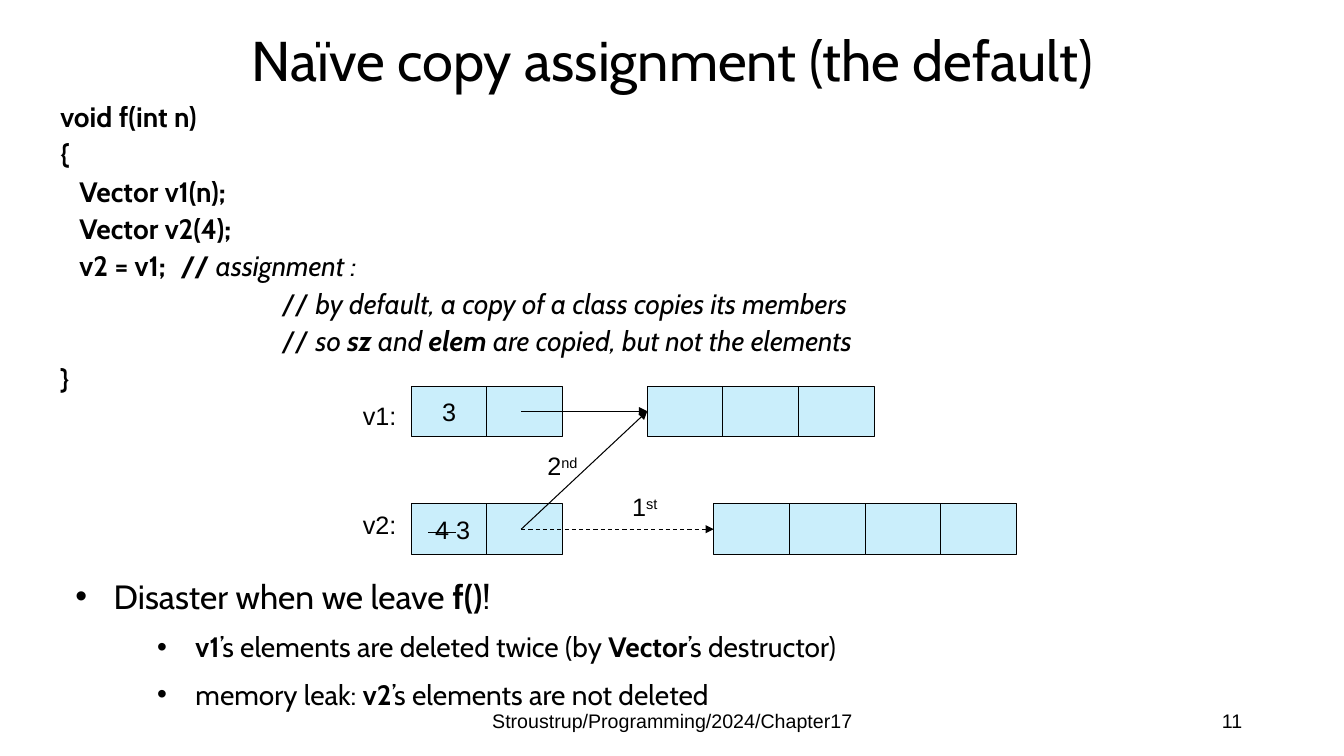
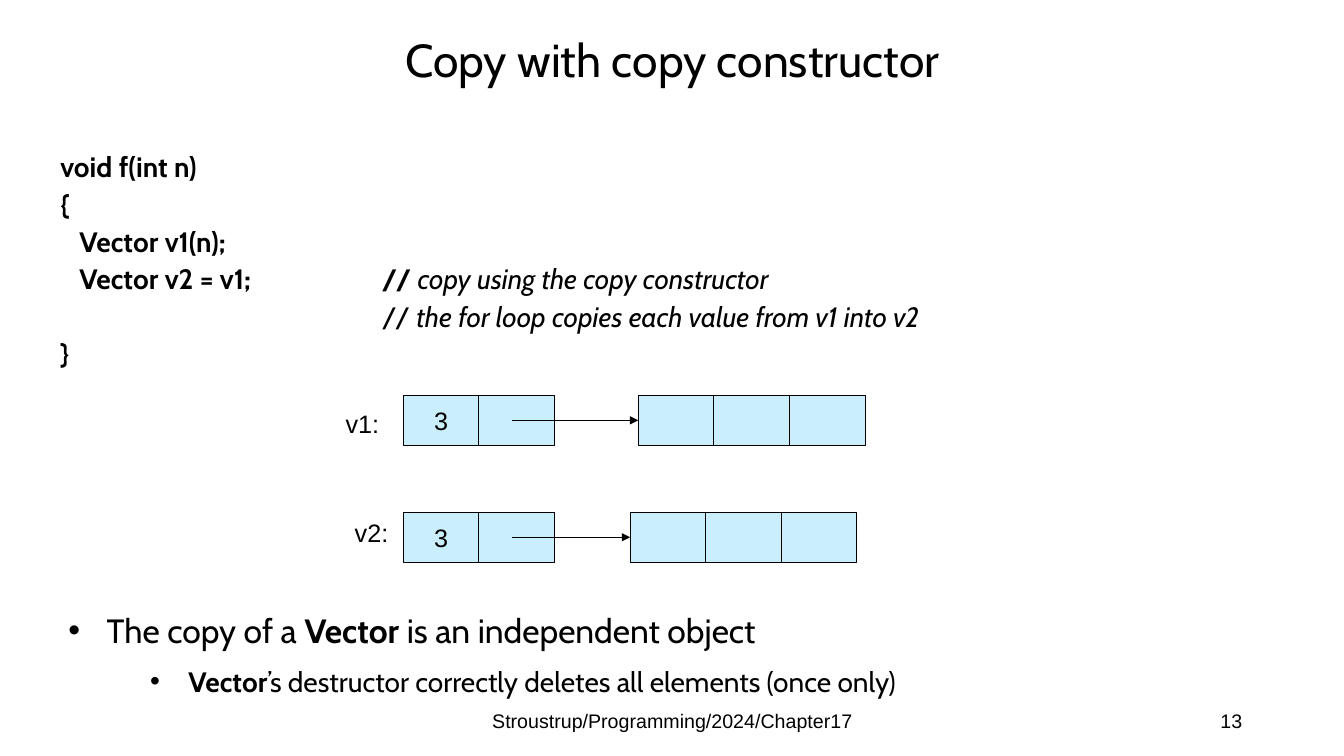
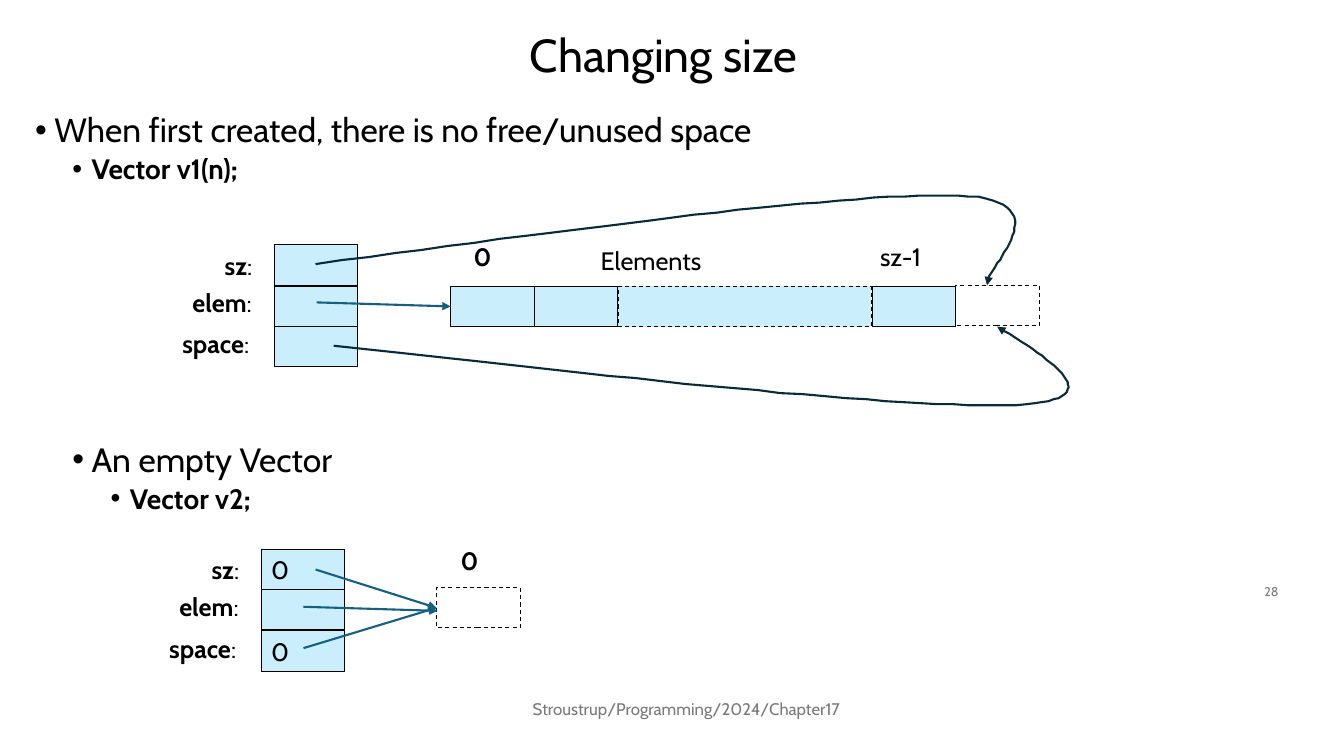
"""Build three slides on copying and resizing a Vector."""
import pptx
import pptx.util
import pptx.dml.color
import pptx.enum.dml
import pptx.enum.shapes
import pptx.enum.text
import pptx.oxml.ns
import lxml.etree

PX = 9144
BLACK, GREY, SKY, TEAL, NAVY = "000000", "797979", "CAEEFB", "156082", "092A39"
SIDE = pptx.enum.text.PP_ALIGN
MID = pptx.enum.text.MSO_ANCHOR.MIDDLE
TOP = pptx.enum.text.MSO_ANCHOR.TOP
RECT = pptx.enum.shapes.MSO_SHAPE.RECTANGLE
DASH = pptx.enum.dml.MSO_LINE.DASH
LINK = pptx.enum.shapes.MSO_CONNECTOR.STRAIGHT
tag = pptx.oxml.ns.qn


def hue(code):
    return pptx.dml.color.RGBColor.from_string(code)


def say(frame, runs, size, font="Cabin", ink=BLACK, side=SIDE.LEFT, gap=0, lead=1, left=0, hang=0, dot=False):
    """Add one paragraph; run marks are b bold, i italic, s struck, ^ raised."""
    para = frame.paragraphs[0]
    if para.runs:
        para = frame.add_paragraph()
    para.alignment, para.line_spacing = side, lead
    para.space_before = pptx.util.Pt(gap)
    props = para._p.get_or_add_pPr()
    props.set("marL", str(left * PX))
    props.set("indent", str(-hang * PX))
    props.set("defTabSz", str(100 * PX))
    if dot:
        lxml.etree.SubElement(props, tag("a:buFont")).set("typeface", "Arial")
        lxml.etree.SubElement(props, tag("a:buChar")).set("char", "•")
    for words, marks in runs:
        run = para.add_run()
        run.text = words
        face = run.font
        face.name, face.size = font, pptx.util.Pt(size)
        face.bold, face.italic = "b" in marks, "i" in marks
        face.color.rgb = hue(ink)
        if "s" in marks:
            run._r.get_or_add_rPr().set("strike", "sngStrike")
        if "^" in marks:
            run._r.get_or_add_rPr().set("baseline", "30000")


deck = pptx.Presentation()
deck.slide_width, deck.slide_height = 1333 * PX, 750 * PX
pages = [deck.slides.add_slide(deck.slide_layouts[6]) for _ in range(3)]

heads = [
    ("Naïve copy assignment (the default)", 40, (217, 0, 900, 125)),
    ("Copy with copy constructor", 33, (217, 0, 900, 125)),
    ("Changing size", 33, (83, 15, 1150, 85)),
]
foot = "Stroustrup/Programming/2024/Chapter17"
plain = dict(size=14, font="Arial")
faint = dict(size=12, font="Cabin", ink=GREY)
feet = [
    ("11", (942, 695, 300, 40), (442, 695, 450, 40), plain, 14),
    ("13", (942, 695, 300, 40), (442, 695, 450, 40), plain, 14),
    ("28", (978, 567, 300, 40), (456, 683, 450, 40), faint, 9),
]

code = dict(size=20, lead=0.8, gap=7.5, left=19, hang=19)
main = dict(size=24, left=38, hang=38, dot=True)
sub = dict(size=20, gap=10, left=119, hang=38, dot=True)
first = dict(size=24, lead=0.9, gap=7.5, left=19, hang=19, dot=True)
next_ = dict(size=20, lead=0.9, gap=3.8, left=56, hang=19, dot=True)
empty = dict(next_, size=24, gap=184)
last = dict(next_, left=94)

blocks = [
    (0, (50, 100, 1083, 292), [
        (code, [("void f(int n)", "b")]),
        (code, [("{", "b")]),
        (code, [("\tVector v1(n);", "b")]),
        (code, [("\tVector v2(4);", "b")]),
        (code, [("\tv2 = v1;\t// ", "b"), ("assignment :", "i")]),
        (code, [("\t\t\t// ", ""), ("by default, a copy of a class copies its members", "i")]),
        (code, [("\t\t\t// ", ""), ("so ", "i"), ("sz", "bi"), (" and ", "i"), ("elem ", "bi"),
                ("are copied, but not the elements", "i")]),
        (code, [("}", "b")]),
    ]),
    (0, (65, 566, 1067, 151), [
        (main, [("Disaster when we leave ", ""), ("f()", "b"), ("!", "")]),
        (sub, [("v1", "b"), ("’s elements are deleted twice (by ", ""), ("Vector", "b"), ("’s destructor)", "")]),
        (sub, [("memory leak: ", ""), ("v2", "b"), ("’s elements are not deleted", "")]),
    ]),
    (1, (50, 150, 1067, 208), [
        (code, [("void f(int n)", "b")]),
        (code, [("{", "b")]),
        (code, [("\tVector v1(n);", "b")]),
        (code, [("\tVector v2 = v1;\t\t// ", "b"), ("copy using the copy constructor", "i")]),
        (code, [("\t\t\t\t// ", ""), ("the for loop copies each value from v1 into v2", "i")]),
        (code, [("}", "b")]),
    ]),
    (1, (58, 600, 975, 101), [
        (main, [("The copy of a ", ""), ("Vector ", "b"), ("is an independent object", "")]),
        (sub, [("Vector", "b"), ("’s destructor correctly deletes all elements (once only)", "")]),
    ]),
    (2, (25, 108, 1217, 192), [
        (first, [("When first created, there is no free/unused space", "")]),
        (next_, [("Vector v1(n);", "b")]),
        (empty, [("An empty Vector", "")]),
        (last, [("Vector v2;", "b")]),
    ]),
]

label = dict(size=18, font="Arial")
name = dict(size=18)
for page, left, top, wide, style, runs in [
    (0, 350, 392, 67, label, [("v1:", "")]),
    (0, 350, 500, 67, label, [("v2:", "")]),
    (0, 533, 442, 108, label, [("2", ""), ("nd", "^")]),
    (0, 617, 483, 108, label, [("1", ""), ("st", "^")]),
    (1, 333, 400, 67, label, [("v1:", "")]),
    (1, 342, 508, 67, label, [("v2:", "")]),
    (2, 863, 234, 67, name, [("sz-1", "")]),
    (2, 460, 234, 67, name, [("0", "b")]),
    (2, 586, 238, 122, name, [("Elements", "")]),
    (2, 447, 536, 67, name, [("0", "b")]),
]:
    blocks.append((page, (left, top, wide, 40), [(style, runs)]))
for right, down in [(0, 0), (-13, 302)]:
    for word, left, top, wide in [("sz", 213, 243, 67), ("elem", 181, 280, 100), ("space", 171, 321, 108)]:
        blocks.append((2, (left + right, top + down, wide, 40), [(name, [(word, "b"), (":", "")])]))

three = [("3", "")]
swap = [(" 4 ", "s"), ("3", "")]
zero = [("0", "")]
mid = dict(label, side=SIDE.CENTER)
for page, left, top, wide, high, fill, dash, style, row in [
    (0, 408, 383, 75, 50, SKY, False, mid, [three, []]),
    (0, 642, 383, 75, 50, SKY, False, mid, [[]] * 3),
    (0, 408, 500, 75, 50, SKY, False, mid, [swap, []]),
    (0, 708, 500, 75, 50, SKY, False, mid, [[]] * 4),
    (1, 400, 392, 75, 50, SKY, False, mid, [three, []]),
    (1, 633, 392, 75, 50, SKY, False, mid, [[]] * 3),
    (1, 400, 508, 75, 50, SKY, False, mid, [three, []]),
    (1, 625, 508, 75, 50, SKY, False, mid, [[]] * 3),
    (2, 272, 243, 83, 40, SKY, False, name, [[]]),
    (2, 272, 284, 83, 40, SKY, False, name, [[]]),
    (2, 272, 324, 83, 40, SKY, False, name, [[]]),
    (2, 447, 284, 83, 40, SKY, False, name, [[]] * 2),
    (2, 613, 284, 251, 40, SKY, True, name, [[]]),
    (2, 865, 284, 83, 40, SKY, False, name, [[]]),
    (2, 948, 283, 83, 40, None, True, name, [[]]),
    (2, 259, 545, 83, 40, SKY, False, name, [zero]),
    (2, 259, 585, 83, 40, SKY, False, name, [[]]),
    (2, 259, 626, 83, 40, SKY, False, name, [zero]),
    (2, 433, 583, 83, 40, None, True, name, [[]]),
]:
    for step, runs in enumerate(row):
        cell = pages[page].shapes.add_shape(RECT, (left + step * wide) * PX, top * PX, wide * PX, high * PX)
        cell.shadow.inherit = False
        if fill:
            cell.fill.solid()
            cell.fill.fore_color.rgb = hue(fill)
        else:
            cell.fill.background()
        cell.line.color.rgb = hue(BLACK)
        cell.line.width = pptx.util.Pt(0.75)
        if dash:
            cell.line.dash_style = DASH
        if runs:
            cell.text_frame.word_wrap = style is name
            cell.text_frame.vertical_anchor = MID
            say(cell.text_frame, runs, **style)

for page, (title, size, box) in enumerate(heads):
    number, spot, base, style, small = feet[page]
    blocks += [
        (page, box, [(dict(size=size, side=SIDE.CENTER, lead=0.9), [(title, "")])]),
        (page, base, [(dict(style, side=SIDE.CENTER), [(foot, "")])]),
        (page, spot, [(dict(style, size=small, side=SIDE.RIGHT), [(number, "")])]),
    ]
fixed = [box for head in heads for box in head[2:]] + [box for row in feet for box in row[1:3]]
for page, box, paras in blocks:
    frame = pages[page].shapes.add_textbox(*[side * PX for side in box]).text_frame
    frame.word_wrap = True
    frame.vertical_anchor = MID if box in fixed else TOP
    for style, runs in paras:
        say(frame, runs, **style)

for page, dots, ink, width, dash in [
    (0, [(517, 408), (642, 408)], BLACK, 0.75, False),
    (0, [(517, 525), (642, 408)], BLACK, 0.75, False),
    (0, [(517, 525), (708, 525)], BLACK, 0.75, True),
    (1, [(508, 417), (633, 417)], BLACK, 0.75, False),
    (1, [(508, 533), (625, 533)], BLACK, 0.75, False),
    (2, [(314, 300), (447, 304)], TEAL, 1.5, False),
    (2, [(301, 602), (434, 606)], TEAL, 1.5, False),
    (2, [(313, 565), (433, 603)], TEAL, 1.5, False),
    (2, [(301, 643), (433, 603)], TEAL, 1.5, False),
    (2, [(313, 262), (576, 226), (839, 191), (950, 194), (1061, 197), (974, 268), (979, 283)], NAVY, 1.5, False),
    (2, [(331, 343), (610, 374), (889, 405), (998, 402), (1108, 399), (1049, 361), (989, 324)], NAVY, 1.5, False),
]:
    shapes = pages[page].shapes
    if len(dots) == 2:
        arrow = shapes.add_connector(LINK, *[side * PX for dot in dots for side in dot])
    else:
        curve = []
        for start in (0, 3):
            for step in range(1, 31):
                t = step / 30
                parts = ((1 - t) ** 3, 3 * t * (1 - t) ** 2, 3 * t * t * (1 - t), t ** 3)
                curve.append([sum(part * dot[axis] for part, dot in zip(parts, dots[start:start + 4]))
                              for axis in (0, 1)])
        pen = shapes.build_freeform(*dots[0], scale=PX)
        pen.add_line_segments(curve, close=False)
        arrow = pen.convert_to_shape()
        arrow.fill.background()
    arrow.line.color.rgb = hue(ink)
    arrow.line.width = pptx.util.Pt(width)
    if dash:
        arrow.line.dash_style = DASH
    props = arrow._element.spPr
    lxml.etree.SubElement(props.find(tag("a:ln")), tag("a:tailEnd")).set("type", "triangle")
    lxml.etree.SubElement(props, tag("a:effectLst"))

deck.save("out.pptx")
